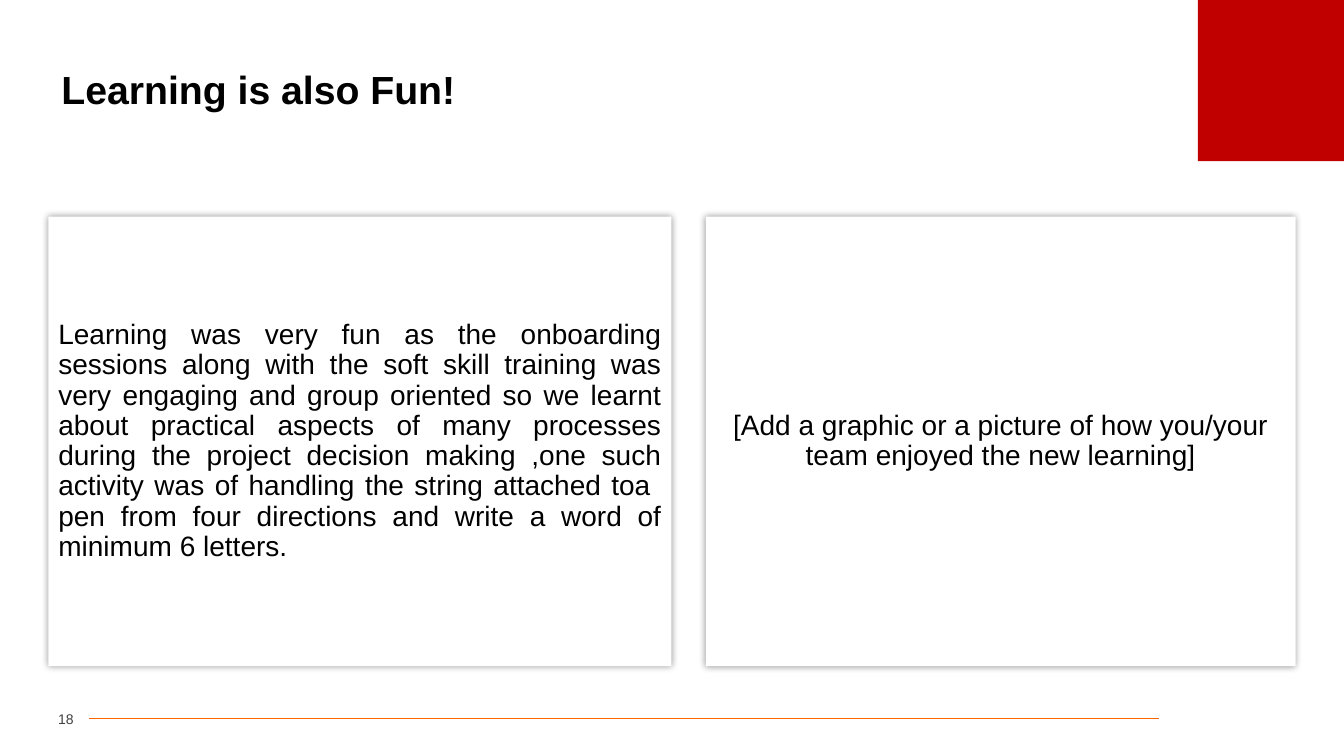
from lxml.etree import SubElement
from pptx import Presentation
from pptx.dml.color import RGBColor
from pptx.enum.shapes import MSO_CONNECTOR, MSO_SHAPE
from pptx.enum.text import MSO_ANCHOR, PP_ALIGN
from pptx.oxml.ns import qn
from pptx.util import Pt

EMU_PER_PX = 9144  # 100 px to the inch
COLORS = {
    "text": "000000",
    "number": "404040",
    "panel": "FFFFFF",
    "accent": "C00000",
    "rule": "FF6600",
    "shadow": "000000",
}
LEARNING_TEXT = (
    "Learning was very fun as the onboarding sessions along with the soft skill "
    "training was very engaging and group oriented so we learnt about practical "
    "aspects of many processes during the project decision making ,one such activity "
    "was of handling the string attached toa  pen from four directions and write a "
    "word of minimum 6 letters."
)
PICTURE_TEXT = "[Add a graphic or a picture of how you/your team enjoyed the new learning]"


def px(length):
    return length * EMU_PER_PX


def color(name):
    return RGBColor.from_string(COLORS[name])


def write_text(shape, text, size=20, fill="text", bold=False,
               align=PP_ALIGN.LEFT, line_spacing=0.9, insets=(10, 5)):
    frame = shape.text_frame
    frame.word_wrap = True
    frame.vertical_anchor = MSO_ANCHOR.MIDDLE
    frame.margin_left = frame.margin_right = px(insets[0])
    frame.margin_top = frame.margin_bottom = px(insets[1])
    paragraph = frame.paragraphs[0]
    paragraph.alignment = align
    paragraph.line_spacing = line_spacing
    paragraph.space_before = Pt(0)
    run = paragraph.add_run()
    run.text = text
    run.font.name = "Arial"
    run.font.size = Pt(size)
    run.font.bold = bold
    run.font.color.rgb = color(fill)


class SlideBuilder:
    def __init__(self, presentation):
        self.slide = presentation.slides.add_slide(presentation.slide_layouts[5])

    def title(self, text, left, top, width, height):
        title = self.slide.shapes.title
        title.left, title.top = px(left), px(top)
        title.width, title.height = px(width), px(height)
        write_text(title, text, size=28, bold=True)

    def rectangle(self, fill, left, top, width, height):
        shape = self.slide.shapes.add_shape(
            MSO_SHAPE.RECTANGLE, px(left), px(top), px(width), px(height))
        shape.shadow.inherit = False
        shape.fill.solid()
        shape.fill.fore_color.rgb = color(fill)
        shape.line.fill.background()
        return shape

    def panel(self, text, align, left, top, width, height):
        shape = self.rectangle("panel", left, top, width, height)
        write_text(shape, text, align=align)
        # Soft glow-like shadow on all sides
        effects = shape._element.spPr.find(qn("a:effectLst"))
        shadow = SubElement(effects, qn("a:outerShdw"), blurRad=str(Pt(5)),
                            dist="0", dir="0", algn="ctr", rotWithShape="0")
        shade = SubElement(shadow, qn("a:srgbClr"), val=COLORS["shadow"])
        SubElement(shade, qn("a:alpha"), val="40000")

    def label(self, text, left, top, width, height, **style):
        box = self.slide.shapes.add_textbox(px(left), px(top), px(width), px(height))
        write_text(box, text, **style)

    def rule(self, left, right, y):
        line = self.slide.shapes.add_connector(
            MSO_CONNECTOR.STRAIGHT, px(left), px(y), px(right), px(y))
        line.line.color.rgb = color("rule")
        line.line.width = Pt(0.5)
        SubElement(line._element.spPr, qn("a:effectLst"))


def main():
    presentation = Presentation()
    presentation.slide_width, presentation.slide_height = px(1333), px(750)
    builder = SlideBuilder(presentation)

    # Footer line and corner block
    builder.rule(88, 1150, 713)
    builder.rectangle("accent", 1188, 0, 145, 160)

    # Heading and slide number
    builder.title("Learning is also Fun!", 51, 52, 1231, 78)
    builder.label("18", 33, 699, 40, 29, size=10, fill="number",
                  align=PP_ALIGN.RIGHT, line_spacing=1.0, insets=(0, 5))

    # Two panels side by side
    for text, align, left, width in (
        (LEARNING_TEXT, PP_ALIGN.JUSTIFY, 48, 618),
        (PICTURE_TEXT, PP_ALIGN.CENTER, 700, 585),
    ):
        builder.panel(text, align, left, 215, width, 446)

    presentation.save("out.pptx")


if __name__ == "__main__":
    main()
